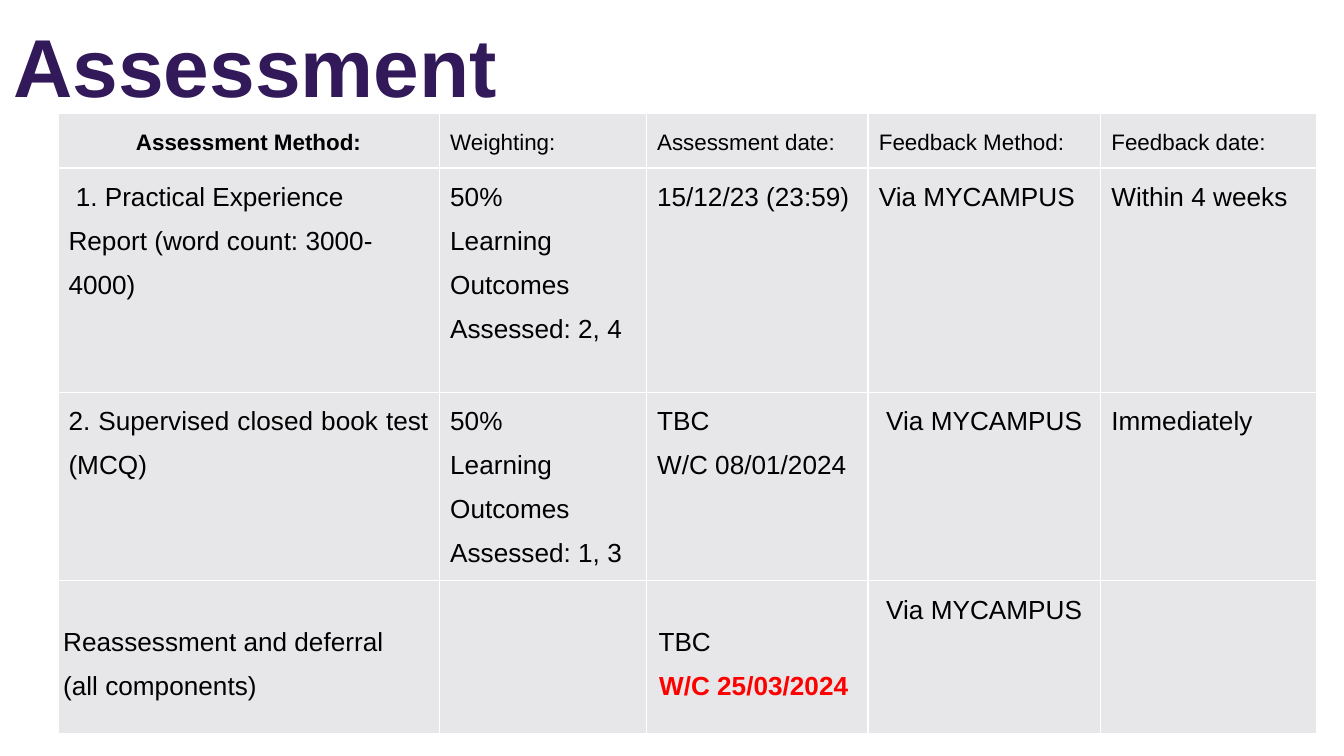
from lxml import etree
from pptx import Presentation
from pptx.dml.color import RGBColor
from pptx.enum import text as t
from pptx.oxml import ns
from pptx.util import Inches, Pt

PURPLE = RGBColor(0x32, 0x19, 0x59)
BLACK = RGBColor(0, 0, 0)
RED = RGBColor(0xFF, 0, 0)
GREY = RGBColor(0xE7, 0xE7, 0xE9)
WHITE = RGBColor(0xFF, 0xFF, 0xFF)
LEFT, MID, FULL = t.PP_ALIGN.LEFT, t.PP_ALIGN.CENTER, t.PP_ALIGN.JUSTIFY


def write(frame, lines, size=14, color=BLACK, bold=False, align=LEFT,
          space=1.5, indent=0):
    for i, line in enumerate(lines):
        para = frame.paragraphs[0] if i == 0 else frame.add_paragraph()
        para.text = line
        para.alignment, para.line_spacing = align, space
        if indent:
            props = para._p.get_or_add_pPr()
            props.set("marL", str(Inches(indent)))
            props.set("indent", "0")
        for run in para.runs:
            font = run.font
            font.name, font.size, font.bold = "Arial", Pt(size), bold
            font.color.rgb = color
        # The paragraph mark takes the size of its text
        etree.SubElement(para._p, ns.qn("a:endParaRPr"), sz=str(size * 100))


def edge(cell):
    props = cell._tc.get_or_add_tcPr()
    for side in ("a:lnL", "a:lnR", "a:lnT", "a:lnB"):
        line = etree.SubElement(props, ns.qn(side), w=str(Pt(1)))
        fill = etree.SubElement(line, ns.qn("a:solidFill"))
        etree.SubElement(fill, ns.qn("a:srgbClr"), val=str(WHITE))


# Slide in 16:9
deck = Presentation()
deck.slide_width = Inches(10)
deck.slide_height = Inches(10 * 9 / 16)
slide = deck.slides.add_slide(deck.slide_layouts[6])

# Title
box = slide.shapes.add_textbox(Inches(0), Inches(0.01), Inches(9.16), Inches(0.94))
frame = box.text_frame
frame.word_wrap = True
frame.vertical_anchor = t.MSO_ANCHOR.MIDDLE
write(frame, ["Assessment"], size=44, color=PURPLE, bold=True, space=1)

# Table contents: each cell is a list of paragraphs
heads = ["Assessment Method:", "Weighting:", "Assessment date:",
         "Feedback Method:", "Feedback date:"]
rows = [
    [[head] for head in heads],
    [[" 1. Practical Experience Report (word count: 3000-4000)"],
     ["50%", "Learning Outcomes Assessed: 2, 4"],
     ["15/12/23 (23:59)"], ["Via MYCAMPUS"], ["Within 4 weeks"]],
    [["2. Supervised closed book test (MCQ)"],
     ["50%", "Learning Outcomes Assessed: 1, 3"],
     ["TBC", "W/C 08/01/2024"], [" Via MYCAMPUS"], ["Immediately"]],
    [["Reassessment and deferral\v(all components)"], [],
     [" TBC", " W/C 25/03/2024"], [" Via MYCAMPUS"], []],
]
widths = [2.84, 1.54, 1.65, 1.73, 1.61]
heights = [0.41, 1.67, 1.31, 1.14]

# Table grid
table = slide.shapes.add_table(
    len(rows), len(widths), Inches(0.43), Inches(0.84),
    Inches(sum(widths)), Inches(sum(heights))).table
for col, width in zip(table.columns, widths):
    col.width = Inches(width)
for row, height in zip(table.rows, heights):
    row.height = Inches(height)

# Cells
for r, row in enumerate(rows):
    for c, lines in enumerate(row):
        cell = table.cell(r, c)
        edge(cell)
        cell.fill.solid()
        cell.fill.fore_color.rgb = GREY
        last = r == 3 and c in (0, 2)
        cell.margin_left = cell.margin_right = Inches(0 if last else 0.08)
        cell.margin_top = cell.margin_bottom = 0
        if r == 0 or last:
            cell.vertical_anchor = t.MSO_ANCHOR.MIDDLE
        if r == 0:
            write(cell.text_frame, lines, size=12, bold=c == 0, space=1.15,
                  align=MID if c == 0 else FULL)
        elif last:
            write(cell.text_frame, lines, indent=0.04)
        else:
            ragged = (r, c) in ((1, 0), (2, 2))
            write(cell.text_frame, lines, align=LEFT if ragged else FULL)

# Highlighted reassessment date
font = table.cell(3, 2).text_frame.paragraphs[1].runs[0].font
font.bold, font.color.rgb = True, RED

deck.save("out.pptx")
